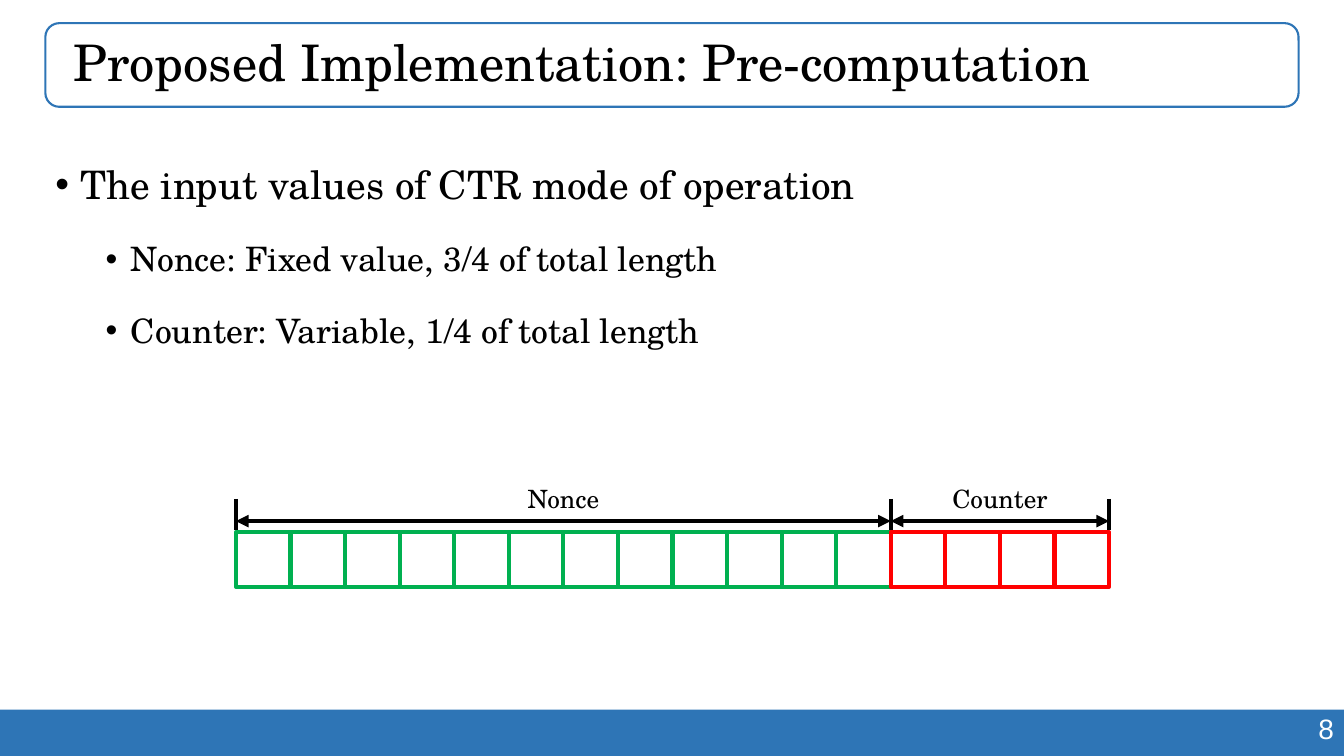
from pptx import Presentation
from pptx.dml.color import RGBColor
from pptx.enum.shapes import MSO_CONNECTOR, MSO_SHAPE
from pptx.enum.text import MSO_ANCHOR as Anchor, PP_ALIGN as Align
from pptx.oxml.ns import qn
from pptx.util import Inches, Pt
from lxml.etree import SubElement

COLORS = {"blue": "2E75B6", "green": "00B050", "red": "FF0000",
          "black": "000000", "white": "FFFFFF"}
SERIF = "TeX Gyre Schola"
WIDTH, HEIGHT = 13.33, 7.5

presentation = Presentation()
presentation.slide_width = Inches(WIDTH)
presentation.slide_height = Inches(HEIGHT)
slide = presentation.slides.add_slide(presentation.slide_layouts[6])


def add_box(kind, left, top, width, height, fill=None, line=None, weight=1.5):
    shape = slide.shapes.add_shape(
        kind, Inches(left), Inches(top), Inches(width), Inches(height))
    shape.shadow.inherit = False
    if fill:
        shape.fill.solid()
        shape.fill.fore_color.rgb = RGBColor.from_string(COLORS[fill])
    else:
        shape.fill.background()
    if line:
        shape.line.color.rgb = RGBColor.from_string(COLORS[line])
        shape.line.width = Pt(weight)
    else:
        shape.line.fill.background()
    return shape


def write(paragraph, text, size, align=Align.LEFT, font=SERIF, color="black"):
    paragraph.text = text
    paragraph.alignment = align
    paragraph.font.size = Pt(size)
    paragraph.font.name = font
    paragraph.font.color.rgb = RGBColor.from_string(COLORS[color])


# Footer bar with page number
add_box(MSO_SHAPE.RECTANGLE, 0, 7.04, WIDTH, HEIGHT - 7.04, fill="blue")
number_box = slide.shapes.add_textbox(
    Inches(9.43), Inches(7.01), Inches(3.9), Inches(0.44))
number_box.text_frame.word_wrap = True
write(number_box.text_frame.paragraphs[0], "8", 20, Align.RIGHT, "Arial", "white")

# Title in a rounded frame
MARGIN = 0.45
CONTENT_WIDTH = WIDTH - 2 * MARGIN
title = add_box(MSO_SHAPE.ROUNDED_RECTANGLE, MARGIN, 0.23, CONTENT_WIDTH, 0.83,
                line="blue")
title_frame = title.text_frame
title_frame.word_wrap = True
title_frame.margin_left = Inches(0.24)
title_frame.vertical_anchor = Anchor.MIDDLE
write(title_frame.paragraphs[0], "Proposed Implementation: Pre-computation", 36)
title_frame.paragraphs[0].line_spacing = 0.9

# Bullets: level, size, space before, text
bullets = [
    (0, 28, 0, "The input values of CTR mode of operation"),
    (1, 24, 5, "Nonce: Fixed value, 3/4 of total length"),
    (1, 24, 5, "Counter: Variable, 1/4 of total length"),
]
body = slide.shapes.add_textbox(
    Inches(MARGIN), Inches(1.26), Inches(CONTENT_WIDTH), Inches(5.53))
body.text_frame.word_wrap = True
for index, (level, size, space, text) in enumerate(bullets):
    paragraph = (body.text_frame.add_paragraph() if index
                 else body.text_frame.paragraphs[0])
    properties = paragraph._p.get_or_add_pPr()
    properties.set("marL", str(Inches(0.25 + 0.5 * level)))
    properties.set("indent", str(Inches(-0.25)))
    SubElement(properties, qn("a:buFont")).set("typeface", "Arial")
    SubElement(properties, qn("a:buChar")).set("char", "•")
    paragraph.level = level
    paragraph.line_spacing = 1.6
    paragraph.space_before = Pt(space)
    write(paragraph, text, size)

# Input block: 16 equal cells, 12 of nonce and 4 of counter
BLOCK_LEFT, BLOCK_RIGHT, BLOCK_TOP = 2.34, 11, 5.28
CELL = (BLOCK_RIGHT - BLOCK_LEFT) / 16
parts = [("Nonce", 0, 12, "green"), ("Counter", 12, 16, "red")]
for label, start, end, color in parts:
    for column in range(start, end):
        add_box(MSO_SHAPE.RECTANGLE, BLOCK_LEFT + column * CELL, BLOCK_TOP,
                CELL, CELL, line=color, weight=3)

# Ticks at the part borders, then a double arrow over each part
TICK_TOP, TICK_BOTTOM, ARROW_Y = 4.95, 5.26, 5.17
border_xs = [BLOCK_LEFT + column * CELL for column in (0, 12, 16)]
ticks = [(x, TICK_TOP, x, TICK_BOTTOM, False) for x in border_xs]
arrows = [(left, ARROW_Y, right, ARROW_Y, True)
          for left, right in zip(border_xs, border_xs[1:])]
for x1, y1, x2, y2, arrowheads in ticks + arrows:
    connector = slide.shapes.add_connector(
        MSO_CONNECTOR.STRAIGHT, Inches(x1), Inches(y1), Inches(x2), Inches(y2))
    connector.line.color.rgb = RGBColor.from_string(COLORS["black"])
    connector.line.width = Pt(3)
    if arrowheads:
        line = connector.line._get_or_add_ln()
        for end_tag in ("a:headEnd", "a:tailEnd"):
            SubElement(line, qn(end_tag)).set("type", "triangle")
    SubElement(connector._element.spPr, qn("a:effectLst"))

# Part labels, centred over their arrows
LABEL_WIDTH = 1.49
for label, start, end, color in parts:
    center = BLOCK_LEFT + (start + end) / 2 * CELL
    label_box = slide.shapes.add_textbox(
        Inches(center - LABEL_WIDTH / 2), Inches(4.75),
        Inches(LABEL_WIDTH), Inches(0.4))
    label_box.text_frame.word_wrap = True
    write(label_box.text_frame.paragraphs[0], label, 18, Align.CENTER)

presentation.save("out.pptx")
